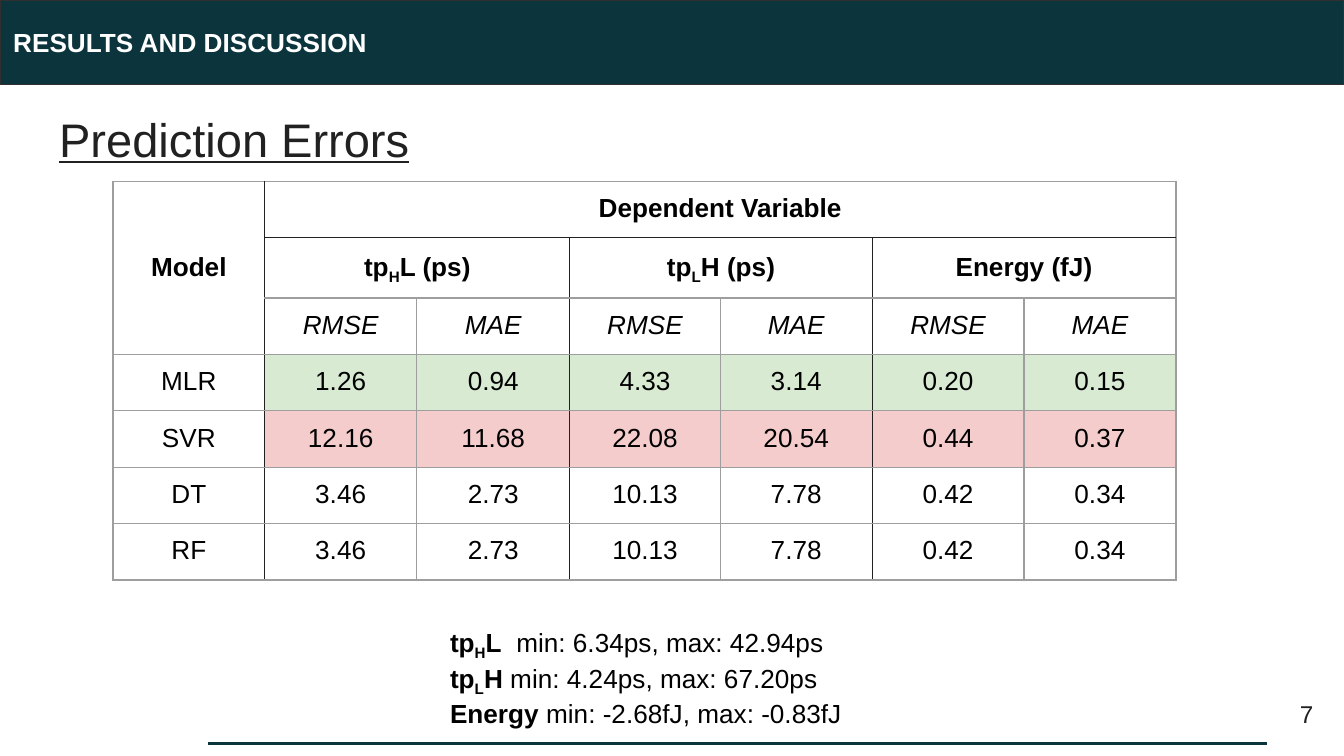
from lxml.etree import SubElement
from pptx import Presentation
from pptx.dml.color import RGBColor
from pptx.enum.shapes import MSO_CONNECTOR, MSO_SHAPE
from pptx.enum.text import MSO_ANCHOR, MSO_AUTO_SIZE, PP_ALIGN
from pptx.oxml.ns import qn
from pptx.util import Inches, Pt

TEAL = RGBColor(0x0C, 0x34, 0x3D)
OUTLINE = RGBColor(0x30, 0x30, 0x30)
DARK = RGBColor(0x21, 0x21, 0x21)
GRAY = RGBColor(0x9E, 0x9E, 0x9E)
GREEN = RGBColor(0xD9, 0xEA, 0xD3)
RED = RGBColor(0xF4, 0xCC, 0xCC)
BLACK = RGBColor(0, 0, 0)
WHITE = RGBColor(0xFF, 0xFF, 0xFF)

COLUMN_WIDTHS = [1.13, 1.13, 1.14, 1.12, 1.13, 1.13, 1.13]
ROW_HEIGHT = 0.42
HEADER_ROWS = 3
FALL_DELAY = [("tp", ""), ("H", "sub"), ("L", "")]
RISE_DELAY = [("tp", ""), ("L", "sub"), ("H", "")]
GROUPS = [
    FALL_DELAY + [(" (ps)", "")],
    RISE_DELAY + [(" (ps)", "")],
    [("Energy (fJ)", "")],
]
RESULTS = [
    ("MLR", "1.26", "0.94", "4.33", "3.14", "0.20", "0.15"),
    ("SVR", "12.16", "11.68", "22.08", "20.54", "0.44", "0.37"),
    ("DT", "3.46", "2.73", "10.13", "7.78", "0.42", "0.34"),
    ("RF", "3.46", "2.73", "10.13", "7.78", "0.42", "0.34"),
]
ROW_FILLS = {"MLR": GREEN, "SVR": RED}
RANGES = [
    (FALL_DELAY, "  min: 6.34ps, max: 42.94ps"),
    (RISE_DELAY, " min: 4.24ps, max: 67.20ps"),
    ([("Energy", "")], " min: -2.68fJ, max: -0.83fJ"),
]


def style_paragraph(para, size, color, align=PP_ALIGN.LEFT, bold=False, italic=False):
    para.alignment = align
    para.font.name = "Arial"
    para.font.size = Pt(size)
    para.font.color.rgb = color
    para.font.bold = bold
    para.font.italic = italic


def add_spans(para, spans, bold=None):
    for text, position in spans:
        span = para.add_run()
        span.text = text
        span.font.bold = bold
        if position == "sub":
            span._r.get_or_add_rPr().set("baseline", "-25000")


def set_margins(frame):
    frame.margin_left = frame.margin_right = Inches(0.1)
    frame.margin_top = frame.margin_bottom = Inches(0.1)


def format_title(page):
    title = page.shapes.title
    title.left, title.top = Inches(0.34), Inches(0.72)
    title.width, title.height = Inches(9.32), Inches(0.63)
    frame = title.text_frame
    frame.text = "Prediction Errors"
    frame.vertical_anchor = MSO_ANCHOR.TOP
    frame.auto_size = MSO_AUTO_SIZE.NONE
    set_margins(frame)
    para = frame.paragraphs[0]
    style_paragraph(para, 25.2, DARK)
    para.font.underline = True


def add_header_band(page):
    band = page.shapes.add_shape(MSO_SHAPE.RECTANGLE, 0, 0, Inches(10), Inches(0.63))
    band.shadow.inherit = False
    band.fill.solid()
    band.fill.fore_color.rgb = TEAL
    band.line.color.rgb = OUTLINE
    band.line.width = Pt(0.75)
    frame = band.text_frame
    frame.text = "RESULTS AND DISCUSSION"
    frame.vertical_anchor = MSO_ANCHOR.MIDDLE
    set_margins(frame)
    style_paragraph(frame.paragraphs[0], 14, WHITE, bold=True)


def add_text_box(page, left, top, width, height):
    box = page.shapes.add_textbox(Inches(left), Inches(top), Inches(width), Inches(height))
    frame = box.text_frame
    frame.word_wrap = True
    set_margins(frame)
    return frame


def add_page_number(page):
    frame = add_text_box(page, 9.27, 5.1, 0.6, 0.43)
    frame.text = "7"
    frame.vertical_anchor = MSO_ANCHOR.MIDDLE
    style_paragraph(frame.paragraphs[0], 13, DARK, PP_ALIGN.RIGHT)


def add_footer_rule(page):
    rule = page.shapes.add_connector(
        MSO_CONNECTOR.STRAIGHT, Inches(1.55), Inches(5.53), Inches(9.43), Inches(5.53)
    )
    rule.line.color.rgb = TEAL
    rule.line.width = Pt(1.5)
    SubElement(rule._element.spPr, qn("a:effectLst"))


def set_borders(cell, row, column):
    right = column + cell.span_width if cell.is_merge_origin else column + 1
    bottom = row + cell.span_height if cell.is_merge_origin else row + 1
    dividers = (1, 3, 5)
    edges = {
        "a:lnL": column in dividers,
        "a:lnR": right in dividers,
        "a:lnT": row == 1 and column > 0,
        "a:lnB": bottom == 1 and column > 0,
    }
    properties = cell._tc.get_or_add_tcPr()
    for tag, is_dark in edges.items():
        border = SubElement(properties, qn(tag), w=str(Pt(0.75)))
        fill = SubElement(border, qn("a:solidFill"))
        SubElement(fill, qn("a:srgbClr"), val=str(DARK if is_dark else GRAY))


def fill_cell(table, row, column, spans, bold=False, italic=False, color=None):
    cell = table.cell(row, column)
    cell.vertical_anchor = MSO_ANCHOR.MIDDLE
    set_margins(cell)
    set_borders(cell, row, column)
    if color is None:
        cell.fill.background()
    else:
        cell.fill.solid()
        cell.fill.fore_color.rgb = color
    para = cell.text_frame.paragraphs[0]
    style_paragraph(para, 14, BLACK, PP_ALIGN.CENTER, bold, italic)
    para.line_spacing = 0.93
    add_spans(para, spans)


def add_error_table(page):
    row_count = HEADER_ROWS + len(RESULTS)
    table = page.shapes.add_table(
        row_count, len(COLUMN_WIDTHS), Inches(0.84), Inches(1.35),
        Inches(sum(COLUMN_WIDTHS)), Inches(ROW_HEIGHT * row_count),
    ).table
    table.first_row = False
    table.horz_banding = False
    for column, width in zip(table.columns, COLUMN_WIDTHS):
        column.width = Inches(width)
    for row in table.rows:
        row.height = Inches(ROW_HEIGHT)

    table.cell(0, 0).merge(table.cell(2, 0))
    table.cell(0, 1).merge(table.cell(0, 6))
    fill_cell(table, 0, 0, [("Model", "")], bold=True)
    fill_cell(table, 0, 1, [("Dependent Variable", "")], bold=True)
    for index, spans in enumerate(GROUPS):
        first = 1 + 2 * index
        table.cell(1, first).merge(table.cell(1, first + 1))
        fill_cell(table, 1, first, spans, bold=True)
        for offset, metric in enumerate(("RMSE", "MAE")):
            fill_cell(table, 2, first + offset, [(metric, "")], italic=True)
    for row, values in enumerate(RESULTS, HEADER_ROWS):
        for column, value in enumerate(values):
            color = ROW_FILLS.get(values[0]) if column else None
            fill_cell(table, row, column, [(value, "")], color=color)


def add_range_notes(page):
    frame = add_text_box(page, 3.25, 4.56, 3.32, 0.91)
    for index, (variable, limits) in enumerate(RANGES):
        para = frame.add_paragraph() if index else frame.paragraphs[0]
        style_paragraph(para, 14, BLACK, PP_ALIGN.JUSTIFY)
        add_spans(para, variable, bold=True)
        add_spans(para, [(limits, "")])


def main():
    deck = Presentation()
    deck.slide_width, deck.slide_height = Inches(10), Inches(10 * 9 / 16)
    page = deck.slides.add_slide(deck.slide_layouts[5])
    format_title(page)
    add_header_band(page)
    add_page_number(page)
    add_footer_rule(page)
    add_error_table(page)
    add_range_notes(page)
    deck.save("out.pptx")


if __name__ == "__main__":
    main()
